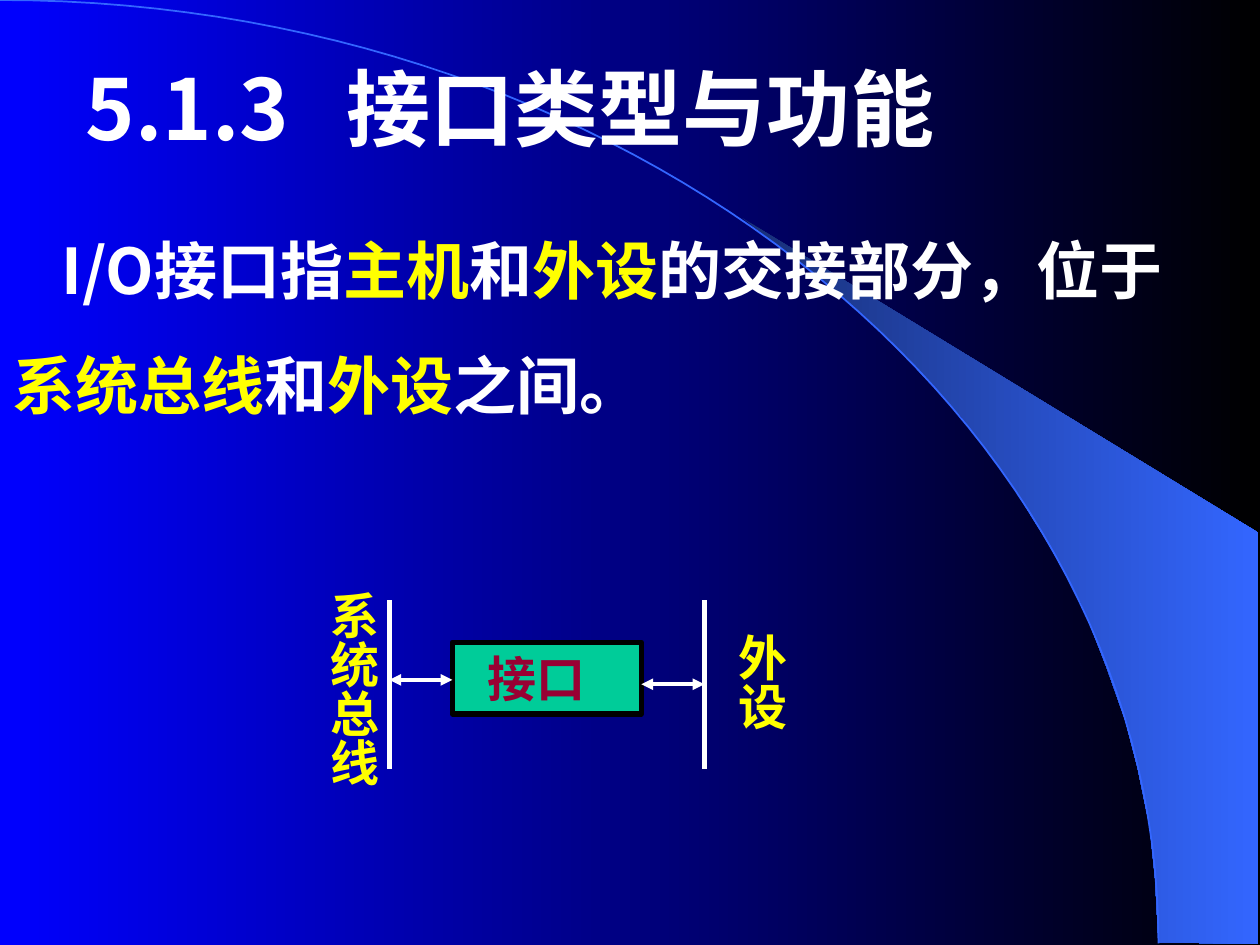
from lxml import etree
from pptx import Presentation
from pptx.dml.color import RGBColor
from pptx.enum.shapes import MSO_CONNECTOR, MSO_SHAPE
from pptx.enum.text import MSO_ANCHOR, PP_ALIGN
from pptx.oxml.ns import qn
from pptx.util import Pt

STRAIGHT = MSO_CONNECTOR.STRAIGHT
RECTANGLE = MSO_SHAPE.RECTANGLE
LEFT = PP_ALIGN.LEFT
TOP = MSO_ANCHOR.TOP
HEADING_FONT = "Noto Sans CJK SC"
LABEL_FONT = "Times New Roman"
COLORS = {
    "blue": "0000FF",
    "black": "000000",
    "navy": "182F76",
    "azure": "3366FF",
    "white": "FFFFFF",
    "yellow": "FFFF00",
    "green": "00CC99",
    "maroon": "990033",
}
SWOOSH = [
    (238, 414), (295, 415), (295, 180), (0, 0), (25, 19), (46, 35),
    (69, 55), (91, 77), (125, 113), (154, 152), (175, 186), (194, 220),
    (208, 256), (219, 287), (226, 314), (233, 348), (236, 377), (238, 414),
]


def color(name):
    return RGBColor.from_string(COLORS[name])


def set_gradient(fill, first, last):
    fill.gradient()
    fill.gradient_angle = 0
    for stop, name in zip(fill.gradient_stops, (first, last)):
        stop.color.rgb = color(name)


def add_outline(slide, left, top, points, close):
    vertices = [(Pt(left + x), Pt(top + y)) for x, y in points]
    builder = slide.shapes.build_freeform(*vertices[0])
    builder.add_line_segments(vertices[1:], close=close)
    shape = builder.convert_to_shape()
    shape.shadow.inherit = False
    return shape


def add_backdrop(slide, left, top, width, height):
    set_gradient(slide.background.fill, "blue", "black")
    swoosh = add_outline(slide, left + 424, top + 124.5, SWOOSH, True)
    set_gradient(swoosh.fill, "navy", "azure")
    swoosh.line.fill.background()
    steps = 60
    curve = []
    for step in range(steps + 1):
        t = step / steps
        x = width * (3 * 0.55 * t * (1 - t) ** 2 + 3 * t**2 * (1 - t) + t**3)
        y = height * (3 * 0.45 * t**2 * (1 - t) + t**3)
        curve.append((x, y))
    arc = add_outline(slide, left, top, curve, False)
    arc.fill.background()
    arc.line.color.rgb = color("azure")
    arc.line.width = Pt(1)


def write_runs(paragraph, parts, size, font):
    paragraph.alignment = LEFT
    for text, name in parts:
        run = paragraph.add_run()
        run.text = text
        run.font.size = Pt(size)
        run.font.bold = True
        run.font.name = font
        run.font.color.rgb = color(name)
        east_asian = etree.SubElement(run._r.get_or_add_rPr(), qn("a:ea"))
        east_asian.set("typeface", HEADING_FONT)


def add_text_box(slide, left, top, width, height):
    box = slide.shapes.add_textbox(Pt(left), Pt(top), Pt(width), Pt(height))
    box.text_frame.word_wrap = True
    return box.text_frame


def add_title(slide, left, top, width, height):
    paragraph = add_text_box(slide, left, top, width, height).paragraphs[0]
    write_runs(paragraph, [("5.1.3\t接口类型与功能", "white")], 48, HEADING_FONT)
    tabs = etree.SubElement(paragraph._p.get_or_add_pPr(), qn("a:tabLst"))
    etree.SubElement(tabs, qn("a:tab"), pos=str(Pt(149)), algn="l")


def add_body(slide, left, top, width, height):
    text_frame = add_text_box(slide, left, top, width, height)
    first = text_frame.paragraphs[0]
    first._p.get_or_add_pPr().set("indent", str(Pt(28)))
    second = text_frame.add_paragraph()
    second.space_before = Pt(22.5)
    write_runs(first, [
        ("I/O接口指", "white"), ("主机", "yellow"), ("和", "white"),
        ("外设", "yellow"), ("的交接部分，位于", "white"),
    ], 36, HEADING_FONT)
    write_runs(second, [
        ("系统总线", "yellow"), ("和", "white"),
        ("外设", "yellow"), ("之间。", "white"),
    ], 36, HEADING_FONT)


def add_vertical_label(slide, left, top, width, height, text):
    text_frame = add_text_box(slide, left, top, width, height)
    text_frame.margin_left = text_frame.margin_right = Pt(3.6)
    text_frame.margin_top = text_frame.margin_bottom = Pt(7.2)
    text_frame._txBody.bodyPr.set("vert", "eaVert")
    write_runs(text_frame.paragraphs[0], [(text, "yellow")], 28, LABEL_FONT)


def add_line(slide, start, end, width, arrows=False):
    line = slide.shapes.add_connector(
        STRAIGHT, *(Pt(value) for value in (*start, *end))
    )
    line.line.color.rgb = color("white")
    line.line.width = Pt(width)
    if arrows:
        outline = line.line._get_or_add_ln()
        for tag in ("a:headEnd", "a:tailEnd"):
            etree.SubElement(outline, qn(tag), type="triangle")
    etree.SubElement(line._element.spPr, qn("a:effectLst"))


def add_interface_box(slide, left, top, width, height):
    box = slide.shapes.add_shape(
        RECTANGLE, Pt(left), Pt(top), Pt(width), Pt(height)
    )
    box.shadow.inherit = False
    box.fill.solid()
    box.fill.fore_color.rgb = color("green")
    box.line.color.rgb = color("black")
    box.line.width = Pt(3)
    text_frame = box.text_frame
    text_frame.word_wrap = True
    text_frame.vertical_anchor = TOP
    text_frame.margin_left = Pt(20)
    write_runs(text_frame.paragraphs[0], [("接口", "maroon")], 28, LABEL_FONT)


def add_diagram(slide, left, top, width, height):
    bus_x = left + 48
    device_x = bus_x + 180
    gap = 36
    box_right = device_x - gap
    add_interface_box(slide, bus_x + gap, top + 36, 108, 41)
    for x in (device_x, bus_x):
        add_line(slide, (x, top + 12), (x, top + 108.5), 3)
    add_vertical_label(slide, left + width - 47.5, top + 24, 47.5, 84, "外设")
    add_vertical_label(slide, left, top, 47.5, height, "系统总线")
    for x, y in ((bus_x, top + 57.5), (box_right, top + 60)):
        add_line(slide, (x, y), (x + gap, y), 2.25, arrows=True)


def main():
    presentation = Presentation()
    presentation.slide_width = Pt(720)
    presentation.slide_height = Pt(540)
    slide = presentation.slides.add_slide(presentation.slide_layouts[6])
    add_backdrop(slide, 0, 0, 662, 539)
    add_title(slide, 42, 29, 654, 65)
    add_body(slide, 0, 129, 720, 182)
    add_diagram(slide, 174.5, 331, 281, 138)
    presentation.save("out.pptx")


if __name__ == "__main__":
    main()
